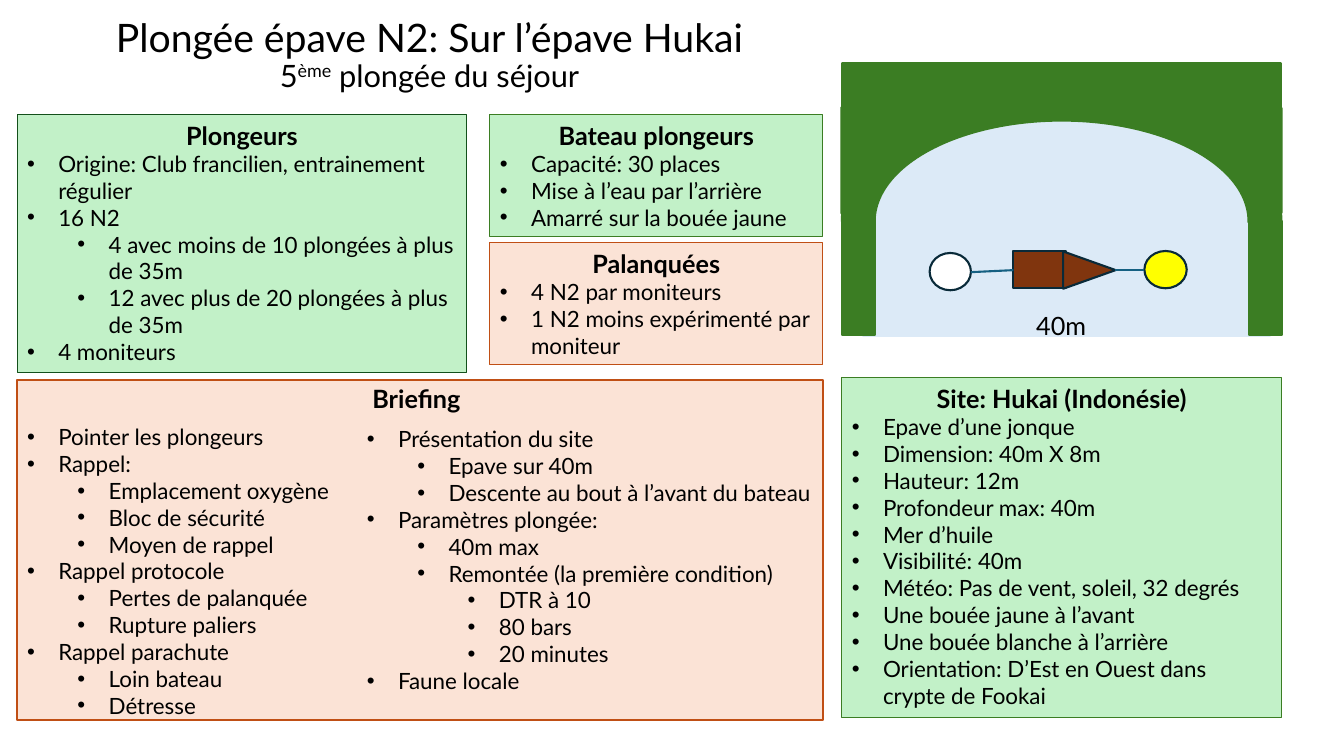
import pptx
import pptx.dml.color
import pptx.enum.shapes
import pptx.enum.text
import pptx.util
import lxml.etree
from pptx.oxml.ns import qn

SHAPE = pptx.enum.shapes.MSO_SHAPE
ALIGN = pptx.enum.text.PP_ALIGN
ANCHOR = pptx.enum.text.MSO_ANCHOR
AUTO_SIZE = pptx.enum.text.MSO_AUTO_SIZE

BLACK, WHITE, YELLOW = "000000", "FFFFFF", "FFFF00"
GREEN, DARK_GREEN, LIGHT_GREEN = "3B7D23", "13501B", "C2F1C8"
ORANGE, LIGHT_ORANGE = "C04F15", "FBE3D6"
WATER, HULL, OUTLINE, ROPE = "DCEAF7", "80350E", "092A39", "156082"


def px(length):
    return pptx.util.Emu(length * 9144)


def color(value):
    return pptx.dml.color.RGBColor.from_string(value)


class SlideBuilder:
    font_name = "Lato"
    heading_size = 18
    body_size = 16

    def __init__(self, slide):
        self.slide = slide

    def shape(self, kind, box, fill, line, width=1.5, rotation=0, adjustments=()):
        shape = self.slide.shapes.add_shape(kind, *map(px, box))
        shape.shadow.inherit = False
        shape.fill.solid()
        shape.fill.fore_color.rgb = color(fill)
        shape.line.color.rgb = color(line)
        shape.line.width = pptx.util.Pt(width)
        shape.rotation = rotation
        for index, value in enumerate(adjustments):
            shape.adjustments[index] = value
        return shape

    def rope(self, start, end):
        connector = self.slide.shapes.add_connector(
            pptx.enum.shapes.MSO_CONNECTOR.STRAIGHT, *map(px, start + end))
        connector.line.color.rgb = color(ROPE)
        connector.line.width = pptx.util.Pt(1.5)
        lxml.etree.SubElement(connector._element.spPr, qn("a:effectLst"))

    def text_box(self, box, wrap=True):
        frame = self.slide.shapes.add_textbox(*map(px, box)).text_frame
        frame.word_wrap = wrap
        frame.auto_size = AUTO_SIZE.SHAPE_TO_FIT_TEXT
        return frame

    def style(self, paragraph, size, bold=False):
        font = paragraph.font
        font.name = self.font_name
        font.size = pptx.util.Pt(size)
        font.bold = bold
        font.color.rgb = color(BLACK)

    def heading(self, paragraph, text, bold=True):
        paragraph.text = text
        paragraph.alignment = ALIGN.CENTER
        self.style(paragraph, self.heading_size, bold)

    def bullet(self, paragraph, level, text):
        paragraph.text = text
        paragraph.level = level
        paragraph.alignment = ALIGN.LEFT
        properties = paragraph._p.get_or_add_pPr()
        properties.set("marL", str(px(31 + 50 * level)))
        properties.set("indent", str(px(-31)))
        lxml.etree.SubElement(properties, qn("a:buFont"), typeface="Arial")
        lxml.etree.SubElement(properties, qn("a:buChar"), char="•")
        self.style(paragraph, self.body_size)

    def label(self, box, text, bold=True):
        self.heading(self.text_box(box).paragraphs[0], text, bold)

    def bullet_list(self, box, items):
        frame = self.text_box(box, wrap=False)
        for index, (level, text) in enumerate(items):
            paragraph = frame.add_paragraph() if index else frame.paragraphs[0]
            self.bullet(paragraph, level, text)

    def card(self, box, fill, line, heading, items):
        frame = self.shape(SHAPE.RECTANGLE, box, fill, line, 0.75).text_frame
        frame.word_wrap = True
        frame.auto_size = AUTO_SIZE.SHAPE_TO_FIT_TEXT
        frame.vertical_anchor = ANCHOR.TOP
        self.heading(frame.paragraphs[0], heading)
        for level, text in items:
            self.bullet(frame.add_paragraph(), level, text)

    def title(self, box, title, ordinal, suffix, subtitle):
        frame = self.text_box(box)
        frame.auto_size = AUTO_SIZE.NONE
        frame.vertical_anchor = ANCHOR.BOTTOM
        paragraph = frame.paragraphs[0]
        paragraph.alignment = ALIGN.CENTER
        paragraph.line_spacing = 0.9
        self.style(paragraph, 28)
        paragraph.add_run().text = title
        paragraph.add_line_break()
        for text in (ordinal, suffix, subtitle):
            run = paragraph.add_run()
            run.text = text
            run.font.size = pptx.util.Pt(22)
            if text == suffix:
                run._r.get_or_add_rPr().set("baseline", "30000")


def draw_site(builder):
    builder.shape(SHAPE.RECTANGLE, (856, 114, 404, 219), WATER, WATER)
    builder.shape(SHAPE.BLOCK_ARC, (835, 87, 436, 265), GREEN, GREEN,
                  adjustments=(108, 0.223, 0.123))
    for box in ((835, 219, 33, 113), (1239, 219, 33, 113), (835, 63, 436, 53)):
        builder.shape(SHAPE.RECTANGLE, box, GREEN, GREEN)
    for left, rotation in ((834, 90), (1166, 180)):
        builder.shape(SHAPE.RIGHT_TRIANGLE, (left, 107, 105, 104), GREEN, GREEN,
                      rotation=rotation)
    builder.shape(SHAPE.RECTANGLE, (1005, 249, 52, 37), HULL, OUTLINE)
    builder.shape(SHAPE.ISOSCELES_TRIANGLE, (1062, 242, 37, 52), HULL, OUTLINE, rotation=90)
    builder.shape(SHAPE.OVAL, (922, 251, 41, 37), WHITE, OUTLINE)
    builder.shape(SHAPE.OVAL, (1135, 249, 42, 37), YELLOW, OUTLINE)
    builder.rope((1106, 268), (1135, 268))
    builder.rope((1005, 268), (963, 270))
    builder.label((867, 303, 371, 40), "40m", bold=False)


def main():
    presentation = pptx.Presentation()
    presentation.slide_width = px(1333)
    presentation.slide_height = px(750)
    builder = SlideBuilder(presentation.slides.add_slide(presentation.slide_layouts[6]))

    builder.title((17, 8, 818, 90), "Plongée épave N2: Sur l’épave Hukai",
                  "5", "ème", " plongée du séjour")
    draw_site(builder)
    builder.card((835, 375, 436, 337), LIGHT_GREEN, GREEN, "Site: Hukai (Indonésie)", [
        (0, "Epave d’une jonque"),
        (0, "Dimension: 40m X 8m"),
        (0, "Hauteur: 12m"),
        (0, "Profondeur max: 40m"),
        (0, "Mer d’huile"),
        (0, "Visibilité: 40m"),
        (0, "Météo: Pas de vent, soleil, 32 degrés"),
        (0, "Une bouée jaune à l’avant"),
        (0, "Une bouée blanche à l’arrière"),
        (0, "Orientation: D’Est en Ouest dans crypte de Fookai")])
    builder.card((17, 114, 446, 256), LIGHT_GREEN, DARK_GREEN, "Plongeurs", [
        (0, "Origine: Club francilien, entrainement régulier"),
        (0, "16 N2"),
        (1, "4 avec moins de 10 plongées à plus de 35m"),
        (1, "12 avec plus de 20 plongées à plus de 35m"),
        (0, "4 moniteurs")])
    builder.card((486, 241, 330, 121), LIGHT_ORANGE, ORANGE, "Palanquées", [
        (0, "4 N2 par moniteurs"),
        (0, "1 N2 moins expérimenté par moniteur")])
    builder.card((486, 114, 330, 121), LIGHT_GREEN, GREEN, "Bateau plongeurs", [
        (0, "Capacité: 30 places"),
        (0, "Mise à l’eau par l’arrière"),
        (0, "Amarré sur la bouée jaune")])
    builder.shape(SHAPE.RECTANGLE, (17, 377, 799, 337), LIGHT_ORANGE, ORANGE)
    builder.label((17, 375, 792, 40), "Briefing")
    builder.bullet_list((17, 415, 322, 306), [
        (0, "Pointer les plongeurs"),
        (0, "Rappel:"),
        (1, "Emplacement oxygène"),
        (1, "Bloc de sécurité"),
        (1, "Moyen de rappel"),
        (0, "Rappel protocole"),
        (1, "Pertes de palanquée"),
        (1, "Rupture paliers"),
        (0, "Rappel parachute"),
        (1, "Loin bateau"),
        (1, "Détresse")])
    builder.bullet_list((354, 417, 461, 279), [
        (0, "Présentation du site"),
        (1, "Epave sur 40m"),
        (1, "Descente au bout à l’avant du bateau"),
        (0, "Paramètres plongée:"),
        (1, "40m max"),
        (1, "Remontée (la première condition)"),
        (2, "DTR à 10"),
        (2, "80 bars"),
        (2, "20 minutes"),
        (0, "Faune locale")])
    presentation.save("out.pptx")


if __name__ == "__main__":
    main()
